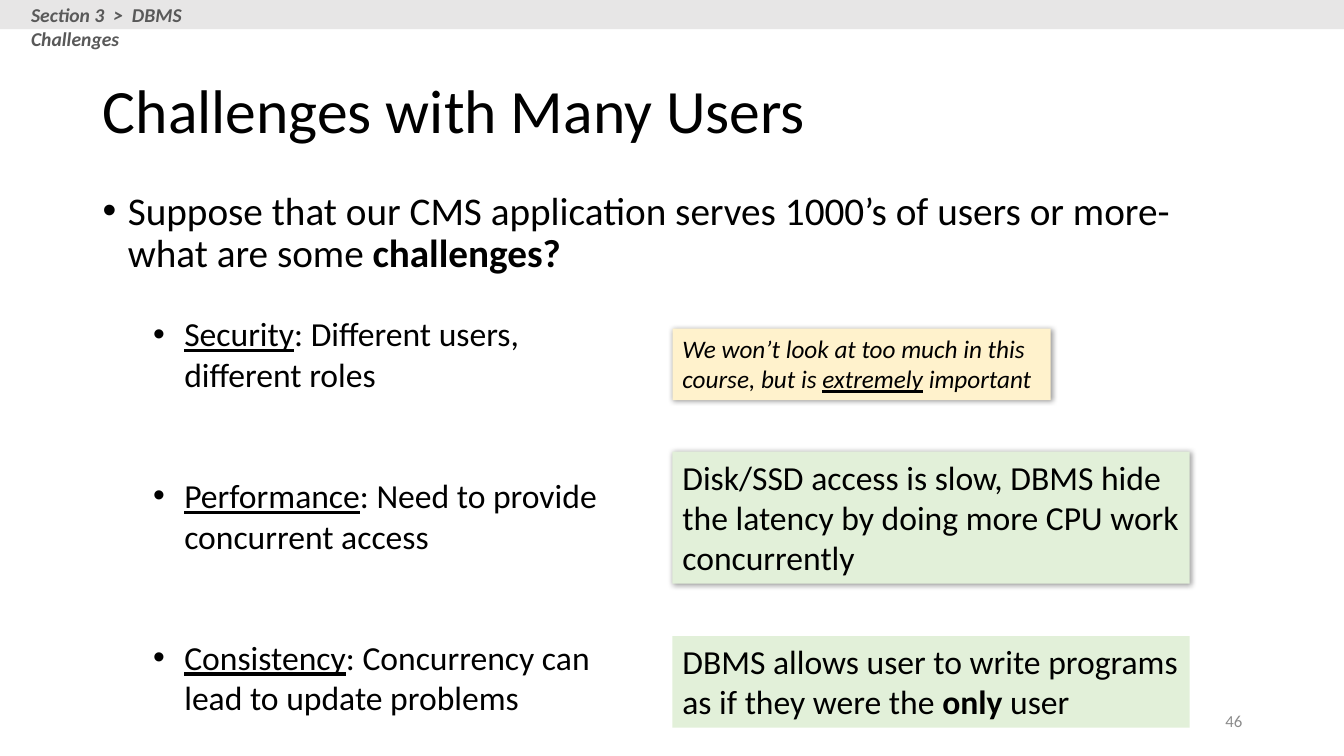
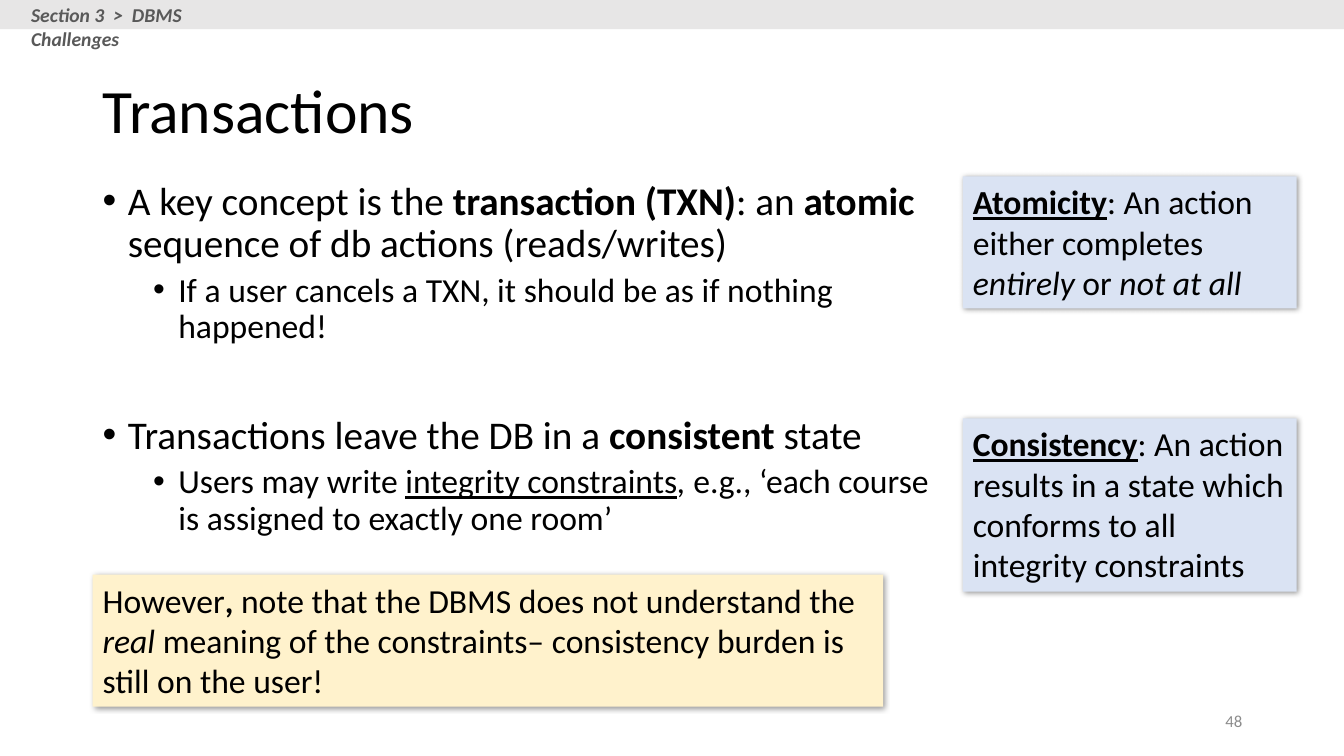
import pptx
import pptx.util
import pptx.dml.color
import pptx.enum.shapes
import pptx.enum.text
import pptx.oxml.ns
from lxml import etree

Inches = pptx.util.Inches
Pt = pptx.util.Pt
ALIGN = pptx.enum.text.PP_ALIGN
ANCHOR = pptx.enum.text.MSO_ANCHOR

FONT = "Calibri"
BLACK, GREY, DARK = "000000", "8C8C8C", "595959"
BAND, CREAM, GREEN, BLUE = "E7E6E6", "FFF2CC", "E2F0D9", "DAE3F3"
WIDE, HIGH = 13.33, 7.5
LEFT = 0.92


def tint(text):
    return pptx.dml.color.RGBColor.from_string(text)


def node(base, tag, **attrs):
    return etree.SubElement(base, pptx.oxml.ns.qn(tag), attrs)


def write(para, text, size=24, color=BLACK, style=""):
    run = para.add_run()
    run.text = text
    font = run.font
    font.name, font.size = FONT, Pt(size)
    font.color.rgb = tint(color)
    font.bold, font.italic = "b" in style, "i" in style
    font.underline = "u" in style


def fill_text(para, runs, size=24, color=BLACK, style=""):
    for part in [runs] if isinstance(runs, str) else runs:
        text, look = (part, style) if isinstance(part, str) else part
        write(para, text, size, color, look)


def bullet(para, left, hang):
    props = para._p.get_or_add_pPr()
    props.set("marL", str(Inches(left)))
    props.set("indent", str(-Inches(hang)))
    node(props, "a:buFont", typeface="Arial")
    node(props, "a:buChar", char="•")


def next_para(frame, index):
    return frame.paragraphs[0] if index == 0 else frame.add_paragraph()


def add_text(slide, box, anchor=ANCHOR.TOP):
    frame = slide.shapes.add_textbox(*map(Inches, box)).text_frame
    frame.word_wrap = True
    frame.vertical_anchor = anchor
    return frame


def add_rect(slide, box, color, shadow=False):
    shape = slide.shapes.add_shape(
        pptx.enum.shapes.MSO_SHAPE.RECTANGLE, *map(Inches, box))
    shape.fill.solid()
    shape.fill.fore_color.rgb = tint(color)
    shape.line.fill.background()
    shape.shadow.inherit = False
    if shadow:
        effect = shape._element.spPr.find(pptx.oxml.ns.qn("a:effectLst"))
        outer = node(effect, "a:outerShdw", blurRad=str(Pt(4)), dist=str(Pt(1)),
                     dir="2700000", algn="tl", rotWithShape="0")
        node(node(outer, "a:srgbClr", val="000000"), "a:alpha", val="40000")
    return shape


def note(slide, box, color, *lines, size=24, style="", shadow=True):
    frame = add_rect(slide, box, color, shadow).text_frame
    frame.word_wrap = True
    frame.vertical_anchor = ANCHOR.TOP
    for index, runs in enumerate(lines):
        para = next_para(frame, index)
        para.alignment = ALIGN.LEFT
        fill_text(para, runs, size=size, style=style)


def outline(slide, box, items):
    frame = add_text(slide, box)
    for index, (level, gap, runs) in enumerate(items):
        para = next_para(frame, index)
        para.level = level
        para.line_spacing = 0.9
        para.space_before = Pt(gap)
        bullet(para, 0.25 + 0.5 * level, 0.25)
        fill_text(para, runs, size=28 - 4 * level)


def issues(slide, box, items):
    frame = add_text(slide, box)
    for index, (term, text) in enumerate(items):
        para = next_para(frame, index)
        para.level = 1
        para.space_before = Pt(58 if index else 0)
        bullet(para, 0.81, 0.31)
        fill_text(para, [(term, "u"), ": " + text])


def start(deck, title, page):
    slide = deck.slides.add_slide(deck.slide_layouts[5])
    head = slide.shapes.title
    head.left, head.top, head.width, head.height = map(
        Inches, (LEFT, 0.4, 11.5, 1.45))
    frame = head.text_frame
    frame.vertical_anchor = ANCHOR.MIDDLE
    para = frame.paragraphs[0]
    para.alignment = ALIGN.LEFT
    para.line_spacing = 0.9
    write(para, title, size=44)
    add_rect(slide, (0, 0, WIDE, 0.29), BAND)
    crumb = add_text(slide, (0.21, -0.02, 2.4, 0.34))
    write(crumb.paragraphs[0], "Section 3  >  DBMS Challenges",
          size=14, color=DARK, style="bi")
    para = add_text(slide, (9.42, 6.95, 3, 0.4), ANCHOR.MIDDLE).paragraphs[0]
    para.alignment = ALIGN.RIGHT
    write(para, page, size=12, color=GREY)
    return slide


def users(deck):
    slide = start(deck, "Challenges with Many Users", "46")
    outline(slide, (LEFT, 1.85, 11.5, 1.16), [
        (0, 10, ["Suppose that our CMS application serves 1000’s of users "
                 "or more- what are some ", ("challenges?", "b")]),
    ])
    issues(slide, (LEFT, 3.06, 5.53, 4.14), [
        ("Security", "Different users, different roles"),
        ("Performance", "Need to provide concurrent access"),
        ("Consistency", "Concurrency can lead to update problems"),
    ])
    left, width = 6.67, 5.13
    note(slide, (left, 3.26, 3.75, 0.71), CREAM,
         ["We won’t look at too much in this course, but is ",
          ("extremely", "iu"), " important"], size=18, style="i")
    note(slide, (left, 4.48, width, 1.31), GREEN,
         "Disk/SSD access is slow, DBMS hide the latency by doing more "
         "CPU work concurrently")
    note(slide, (left, 6.31, width, 0.91), GREEN,
         "DBMS allows user to write programs",
         ["as if they were the ", ("only ", "b"), "user"], shadow=False)


def actions(deck):
    slide = start(deck, "Transactions", "48")
    outline(slide, (LEFT, 1.75, 8.39, 5.34), [
        (0, 10, ["A key concept is the ", ("transaction (TXN)", "b"), ": an ",
                 ("atomic ", "b"), "sequence of db actions (reads/writes)"]),
        (1, 5, "If a user cancels a TXN, it should be as if nothing happened!"),
        (0, 50, ["Transactions leave the DB in a ", ("consistent", "b"),
                 " state"]),
        (1, 5, ["Users may write ", ("integrity constraints", "u"), (",", "i"),
                " e.g., ‘each course is assigned to exactly one room’"]),
    ])
    left, width = 9.55, 3.31
    note(slide, (left, 1.75, width, 1.31), BLUE,
         [("Atomicity", "bu"), ": An action either completes ",
          ("entirely", "i"), " or ", ("not at all", "i")])
    note(slide, (left, 4.15, width, 1.72), BLUE,
         [("Consistency", "bu"), ": An action results in a state which "
          "conforms to all integrity constraints"])
    note(slide, (LEFT, 5.7, 7.84, 1.31), CREAM,
         ["However", (",", "b"), " note that the DBMS does not understand the ",
          ("real ", "i"), "meaning of the constraints– consistency burden "
          "is still on the user!"])


def main():
    deck = pptx.Presentation()
    deck.slide_width, deck.slide_height = Inches(WIDE), Inches(HIGH)
    users(deck)
    actions(deck)
    deck.save("out.pptx")


if __name__ == "__main__":
    main()
